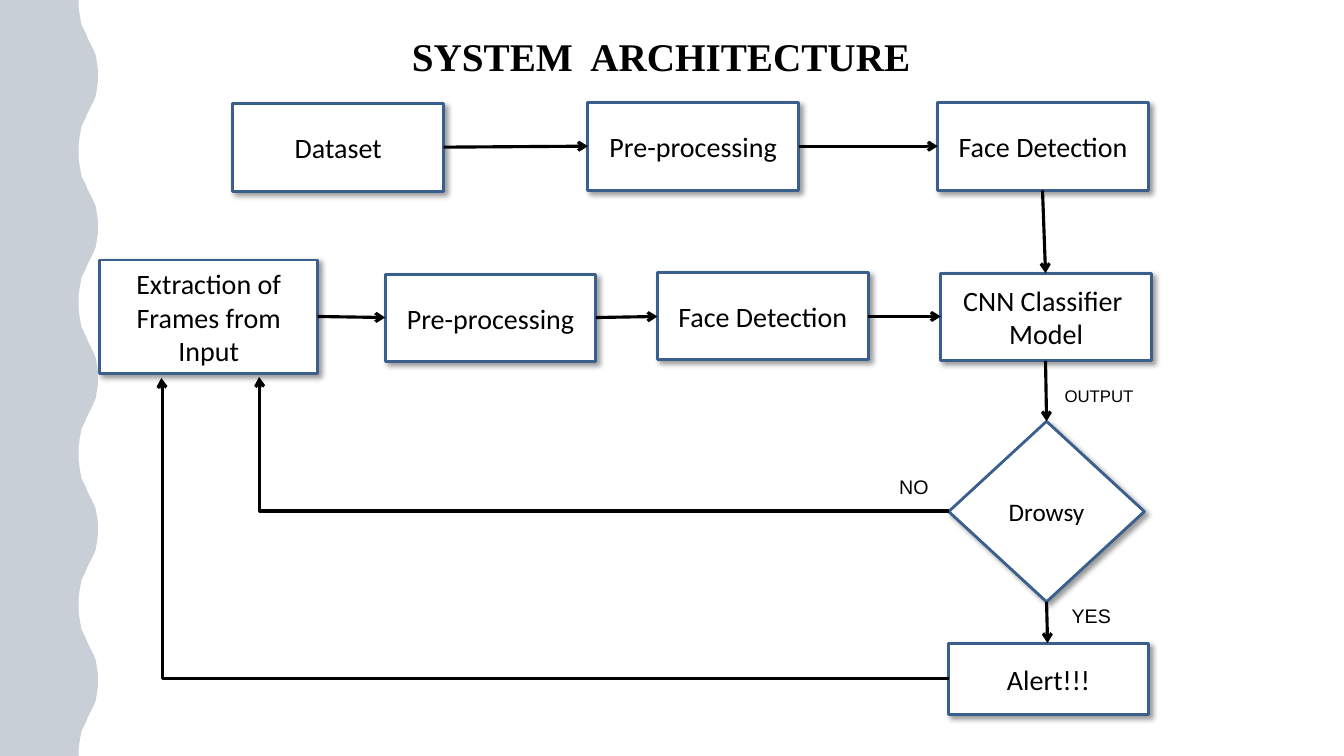
"""Build the system architecture flowchart slide."""
from dataclasses import dataclass

from lxml import etree
from pptx import Presentation
from pptx import util as u
from pptx.dml.color import RGBColor
from pptx.enum import shapes, text
from pptx.oxml import ns

BLACK, WHITE, OUTLINE, NAVY = "000000", "FFFFFF", "3A5F8C", "254061"
WAVE_PERIOD, WAVE_COUNT = 1.5, 5
WAVE_RISE = [
    (0, 0.78), (0.07, 0.78), (0.14, 0.79), (0.2, 0.8), (0.25, 0.81),
    (0.29, 0.83), (0.33, 0.85), (0.38, 0.87), (0.42, 0.89), (0.46, 0.91),
    (0.5, 0.93), (0.55, 0.95), (0.61, 0.96), (0.68, 0.97), (0.75, 0.97),
]


@dataclass
class Node:
    label: str
    left: float
    top: float
    width: float = 2.09
    height: float = 0.87
    size: int = 20
    kind: shapes.MSO_SHAPE = shapes.MSO_SHAPE.RECTANGLE


@dataclass
class Arrow:
    start: tuple[float, float]
    end: tuple[float, float]


@dataclass
class Label:
    wording: str
    left: float
    top: float
    width: float
    height: float
    size: int
    font: str = "Arial"
    bold: bool = False
    align: text.PP_ALIGN = text.PP_ALIGN.LEFT


NODES = [
    Node("Dataset", 2.31, 1.03),
    Node("Pre-processing", 5.83, 1.02),
    Node("CNN Classifier \nModel", 9.33, 2.71),
    Node("Face Detection", 9.3, 1.02),
    Node("Extraction of Frames from Input", 0.99, 2.58, 2.16, 1.13),
    Node("Pre-processing", 3.82, 2.72),
    Node("Face Detection", 6.52, 2.7),
    Node("Drowsy", 9.41, 4.18, 1.94, 1.79, 18, shapes.MSO_SHAPE.DIAMOND),
    Node("Alert!!!", 9.41, 6.38, 1.98, 0.71),
]
STRAIGHT_ARROWS = [
    Arrow((7.92, 1.45), (9.3, 1.45)),
    Arrow((4.4, 1.46), (5.83, 1.45)),
    Arrow((10.34, 1.89), (10.37, 2.71)),
    Arrow((10.37, 3.58), (10.38, 4.18)),
    Arrow((10.38, 5.97), (10.39, 6.38)),
    Arrow((3.15, 3.14), (3.82, 3.15)),
    Arrow((5.91, 3.15), (6.52, 3.14)),
    Arrow((8.61, 3.14), (9.33, 3.14)),
]
RETURN_ARROWS = [
    Arrow((9.41, 5.07), (2.57, 3.74)),
    Arrow((9.41, 6.73), (1.6, 3.75)),
]
LABELS = [
    Label("OUTPUT", 10.46, 3.78, 1.22, 0.3, 12),
    Label("YES", 10.53, 5.94, 0.65, 0.34, 14),
    Label("NO", 8.82, 4.66, 0.65, 0.34, 14),
    Label("SYSTEM  ARCHITECTURE", 1.38, 0.27, 10.35, 0.57, 28,
          "Times New Roman", True, text.PP_ALIGN.CENTER),
]


def color(value: str) -> RGBColor:
    return RGBColor.from_string(value)


def add_element(parent, tag: str, **attributes: str):
    return etree.SubElement(parent, ns.qn(tag), attributes)


def write_text(frame, wording: str, size: int, font: str, align, bold: bool = False) -> None:
    frame.word_wrap = True
    frame.text = wording
    for paragraph in frame.paragraphs:
        paragraph.alignment = align
        paragraph.font.size = u.Pt(size)
        paragraph.font.name = font
        paragraph.font.bold = bold
        paragraph.font.color.rgb = color(BLACK)


def draw_node(slide, node: Node) -> None:
    shape = slide.shapes.add_shape(
        node.kind, *map(u.Inches, (node.left, node.top, node.width, node.height)))
    shape.fill.solid()
    shape.fill.fore_color.rgb = color(WHITE)
    shape.line.color.rgb = color(OUTLINE)
    shape.line.width = u.Pt(2)
    shape.shadow.inherit = False
    effects = shape._element.spPr.find(ns.qn("a:effectLst"))
    shadow = add_element(effects, "a:outerShdw", blurRad=str(u.Pt(4)), dist=str(u.Pt(3)),
                         dir="2700000", algn="tl", rotWithShape="0")
    add_element(add_element(shadow, "a:srgbClr", val=BLACK), "a:alpha", val="40000")
    shape.text_frame.vertical_anchor = text.MSO_ANCHOR.MIDDLE
    write_text(shape.text_frame, node.label, node.size, "Calibri", text.PP_ALIGN.CENTER)


def draw_arrow(slide, kind, start: tuple[float, float], end: tuple[float, float]):
    connector = slide.shapes.add_connector(kind, *map(u.Inches, (*start, *end)))
    connector.line.color.rgb = color(BLACK)
    connector.line.width = u.Pt(2.25)
    add_element(connector.line._get_or_add_ln(), "a:tailEnd", type="arrow")
    add_element(connector._element.spPr, "a:effectLst")
    return connector


def draw_return_arrow(slide, arrow: Arrow) -> None:
    connector = draw_arrow(slide, shapes.MSO_CONNECTOR.ELBOW, arrow.end, arrow.start)
    properties = connector._element.spPr
    properties.find(ns.qn("a:xfrm")).set("rot", "10800000")
    guides = properties.find(ns.qn("a:prstGeom")).find(ns.qn("a:avLst"))
    add_element(guides, "a:gd", name="adj1", fmla="val 99900")


def draw_label(slide, label: Label) -> None:
    box = slide.shapes.add_textbox(
        *map(u.Inches, (label.left, label.top, label.width, label.height)))
    write_text(box.text_frame, label.wording, label.size, label.font, label.align, label.bold)
    box.text_frame.auto_size = text.MSO_AUTO_SIZE.SHAPE_TO_FIT_TEXT


def draw_wave(slide, fill: str, opacity: int) -> None:
    fall = [(WAVE_PERIOD - y, x) for y, x in reversed(WAVE_RISE[:-1])]
    edge = [(x, y + WAVE_PERIOD * wave)
            for wave in range(WAVE_COUNT) for y, x in WAVE_RISE + fall]
    outline = [*edge, (0, WAVE_PERIOD * WAVE_COUNT)]
    builder = slide.shapes.build_freeform(0, 0)
    builder.add_line_segments([(u.Inches(x), u.Inches(y)) for x, y in outline], close=True)
    shape = builder.convert_to_shape()
    shape.shadow.inherit = False
    shape.line.fill.background()
    shape.fill.solid()
    shape.fill.fore_color.rgb = color(fill)
    if opacity < 100:
        tint = shape._element.spPr.find(ns.qn("a:solidFill"))[0]
        add_element(tint, "a:alpha", val=str(opacity * 1000))


def main() -> None:
    presentation = Presentation()
    presentation.slide_width = u.Inches(13.33)
    presentation.slide_height = u.Inches(7.5)
    slide = presentation.slides.add_slide(presentation.slide_layouts[6])
    for node in NODES:
        draw_node(slide, node)
    for arrow in STRAIGHT_ARROWS:
        draw_arrow(slide, shapes.MSO_CONNECTOR.STRAIGHT, arrow.start, arrow.end)
    for arrow in RETURN_ARROWS:
        draw_return_arrow(slide, arrow)
    for label in LABELS:
        draw_label(slide, label)
    for fill, opacity in ((WHITE, 100), (NAVY, 25)):
        draw_wave(slide, fill, opacity)
    presentation.save("out.pptx")


if __name__ == "__main__":
    main()
